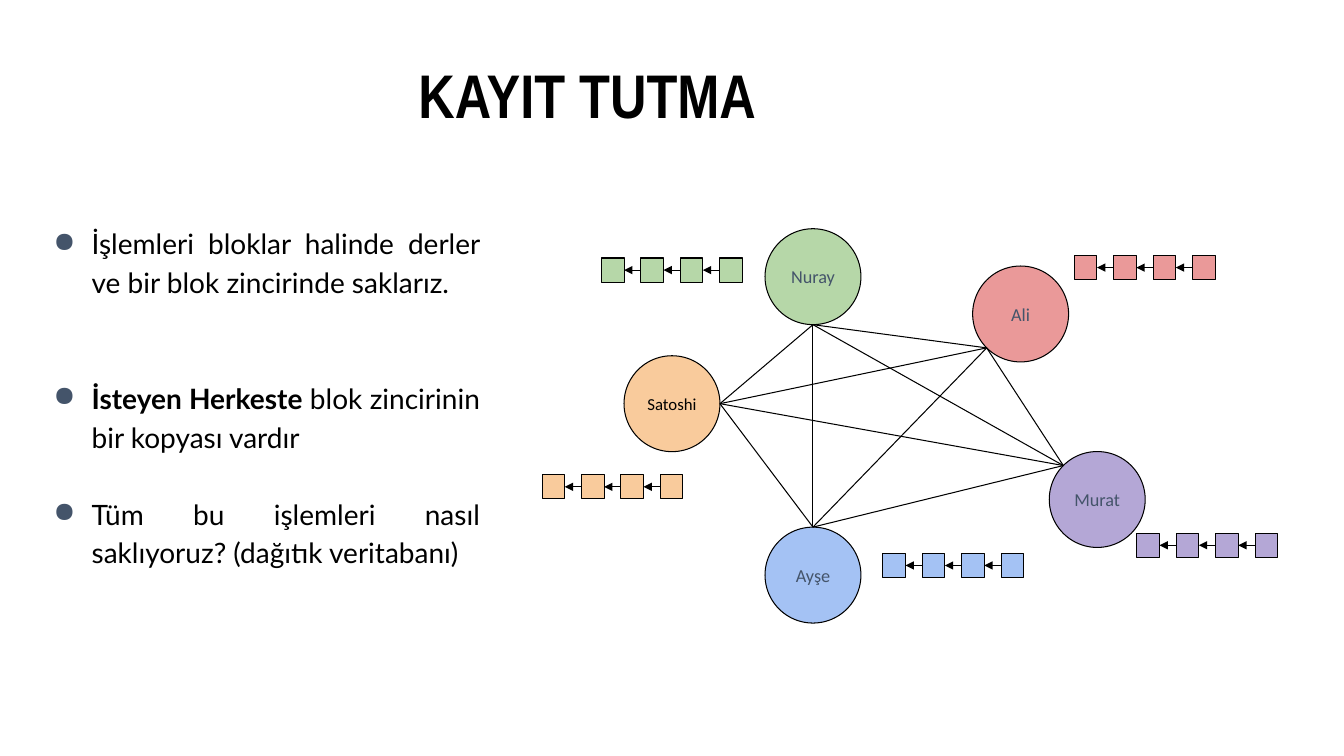
from collections import namedtuple
from itertools import combinations
from math import cos, radians, sin

from lxml import etree
from pptx import Presentation
from pptx.dml.color import RGBColor
from pptx.enum.shapes import MSO_CONNECTOR, MSO_SHAPE
from pptx.enum.text import MSO_ANCHOR, MSO_AUTO_SIZE, PP_ALIGN
from pptx.oxml.ns import qn
from pptx.util import Inches, Pt

STRAIGHT = MSO_CONNECTOR.STRAIGHT
OVAL, RECTANGLE = MSO_SHAPE.OVAL, MSO_SHAPE.RECTANGLE
MIDDLE = MSO_ANCHOR.MIDDLE
NO_AUTOFIT = MSO_AUTO_SIZE.NONE
LEFT, CENTER, JUSTIFY = PP_ALIGN.LEFT, PP_ALIGN.CENTER, PP_ALIGN.JUSTIFY

SLIDE_WIDTH, SLIDE_HEIGHT = Inches(13.33), Inches(7.5)
COLUMN, ROW = SLIDE_WIDTH / 100, SLIDE_HEIGHT / 100

COLORS = {
    "black": "000000",
    "slate": "44546A",
    "orange": "F9CB9C",
    "green": "B6D7A8",
    "red": "EA9999",
    "blue": "A4C2F4",
    "purple": "B4A7D6",
}

Box = namedtuple("Box", "left top width height")
Peer = namedtuple("Peer", "name color center link_angle chain_start text_color text_size")

TITLE_BOX = Box(30.38, 3.33, 48.09, 19.33)
BULLETS_BOX = Box(2.33, 28, 34.13, 48.67)
NETWORK_BOX = Box(40, 30, 58, 55)

PEER_DIAMETER = 7.14 * COLUMN
BLOCK_COUNT = 4
BLOCK_PITCH = 2.93 * COLUMN
BLOCK_WIDTH, BLOCK_HEIGHT = 1.68 * COLUMN, 3.2 * ROW

PEERS = [
    Peer("Satoshi", "orange", (10, 23.4), 0, (1.18, 34.4), "black", 12),
    Peer("Nuray", "green", (20.49, 6.6), 90, (5.6, 5.73), "slate", 13),
    Peer("Ali", "red", (35.94, 11.53), 135, (40.78, 5.4), "slate", 13),
    Peer("Ayşe", "blue", (20.49, 46.07), 270, (26.53, 44.8), "slate", 13),
    Peer("Murat", "purple", (41.64, 36.07), 225, (45.43, 42.13), "slate", 13),
]

BULLETS = [
    (0, [("İşlemleri bloklar halinde derler ve bir blok zincirinde saklarız.", False)]),
    (55.2, [("İsteyen Herkeste", True), (" blok zincirinin bir kopyası vardır", False)]),
    (27.6, [("Tüm bu işlemleri nasıl saklıyoruz? (dağıtık veritabanı)", False)]),
]


def rgb(color):
    return RGBColor.from_string(COLORS[color])


def frame(box):
    return (round(box.left * COLUMN), round(box.top * ROW),
            round(box.width * COLUMN), round(box.height * ROW))


def position(box, offset):
    return (box.left + offset[0]) * COLUMN, (box.top + offset[1]) * ROW


def add_run(paragraph, text, font_name, size, color, bold=False):
    run = paragraph.add_run()
    run.text = text
    run.font.name = font_name
    run.font.size = Pt(size)
    run.font.bold = bold
    run.font.color.rgb = rgb(color)


def add_bullet(paragraph):
    properties = paragraph._p.get_or_add_pPr()
    properties.set("marL", str(Inches(0.5)))
    properties.set("indent", str(Inches(-0.38)))
    bullet_color = etree.SubElement(properties, qn("a:buClr"))
    etree.SubElement(bullet_color, qn("a:srgbClr"), val=COLORS["slate"])
    etree.SubElement(properties, qn("a:buChar"), char="●")


def add_centered_shape(slide, kind, center, width, height, color):
    shape = slide.shapes.add_shape(kind, round(center[0] - width / 2),
                                   round(center[1] - height / 2), round(width), round(height))
    shape.shadow.inherit = False
    shape.fill.solid()
    shape.fill.fore_color.rgb = rgb(color)
    shape.line.color.rgb = rgb("black")
    shape.line.width = Pt(0.75)
    return shape


def add_line(slide, start, end, arrow=False):
    connector = slide.shapes.add_connector(STRAIGHT, *map(round, (*start, *end)))
    connector.line.color.rgb = rgb("black")
    connector.line.width = Pt(0.75)
    if arrow:
        etree.SubElement(connector.line._get_or_add_ln(), qn("a:tailEnd"), type="triangle")
    etree.SubElement(connector._element.spPr, qn("a:effectLst"))


def add_title(slide, box):
    title = slide.shapes.title
    title.left, title.top, title.width, title.height = frame(box)
    title.text_frame.auto_size = NO_AUTOFIT
    title.text_frame.vertical_anchor = MIDDLE
    paragraph = title.text_frame.paragraphs[0]
    paragraph.alignment = LEFT
    paragraph.line_spacing = 0.9
    add_run(paragraph, "KAYIT TUTMA", "Arial Narrow", 44, "black", True)


def add_bullets(slide, box):
    text_frame = slide.shapes.add_textbox(*frame(box)).text_frame
    text_frame.word_wrap = True
    text_frame.vertical_anchor = MIDDLE
    text_frame.margin_left = text_frame.margin_right = Inches(0.1)
    text_frame.margin_top = text_frame.margin_bottom = Inches(0.1)
    for index, (space_before, runs) in enumerate(BULLETS):
        paragraph = text_frame.add_paragraph() if index else text_frame.paragraphs[0]
        add_bullet(paragraph)
        paragraph.alignment = JUSTIFY
        paragraph.line_spacing = 1.15
        paragraph.space_before = Pt(space_before)
        for text, bold in runs:
            add_run(paragraph, text, "Lato", 20, "black", bold)


def add_peer(slide, box, peer):
    circle = add_centered_shape(slide, OVAL, position(box, peer.center),
                                PEER_DIAMETER, PEER_DIAMETER, peer.color)
    text_frame = circle.text_frame
    text_frame.vertical_anchor = MIDDLE
    text_frame.margin_left = text_frame.margin_right = Inches(0.04)
    text_frame.margin_top = text_frame.margin_bottom = Inches(0.04)
    paragraph = text_frame.paragraphs[0]
    paragraph.alignment = CENTER
    add_run(paragraph, peer.name, "Calibri", peer.text_size, peer.text_color)


def add_chain(slide, box, peer):
    x, y = position(box, peer.chain_start)
    for index in range(BLOCK_COUNT):
        center = x + index * BLOCK_PITCH
        add_centered_shape(slide, RECTANGLE, (center, y), BLOCK_WIDTH, BLOCK_HEIGHT, peer.color)
        if index:
            add_line(slide, (center - BLOCK_WIDTH / 2, y),
                     (center - BLOCK_PITCH + BLOCK_WIDTH / 2, y), arrow=True)


def link_point(box, peer):
    x, y = position(box, peer.center)
    angle = radians(peer.link_angle)
    return x + PEER_DIAMETER / 2 * cos(angle), y + PEER_DIAMETER / 2 * sin(angle)


def add_network(slide, box):
    for peer in PEERS:
        add_peer(slide, box, peer)
    for first, second in combinations(PEERS, 2):
        add_line(slide, link_point(box, first), link_point(box, second))
    for peer in PEERS:
        add_chain(slide, box, peer)


def main():
    presentation = Presentation()
    presentation.slide_width, presentation.slide_height = SLIDE_WIDTH, SLIDE_HEIGHT
    slide = presentation.slides.add_slide(presentation.slide_layouts[5])
    add_title(slide, TITLE_BOX)
    add_bullets(slide, BULLETS_BOX)
    add_network(slide, NETWORK_BOX)
    presentation.save("out.pptx")


if __name__ == "__main__":
    main()
